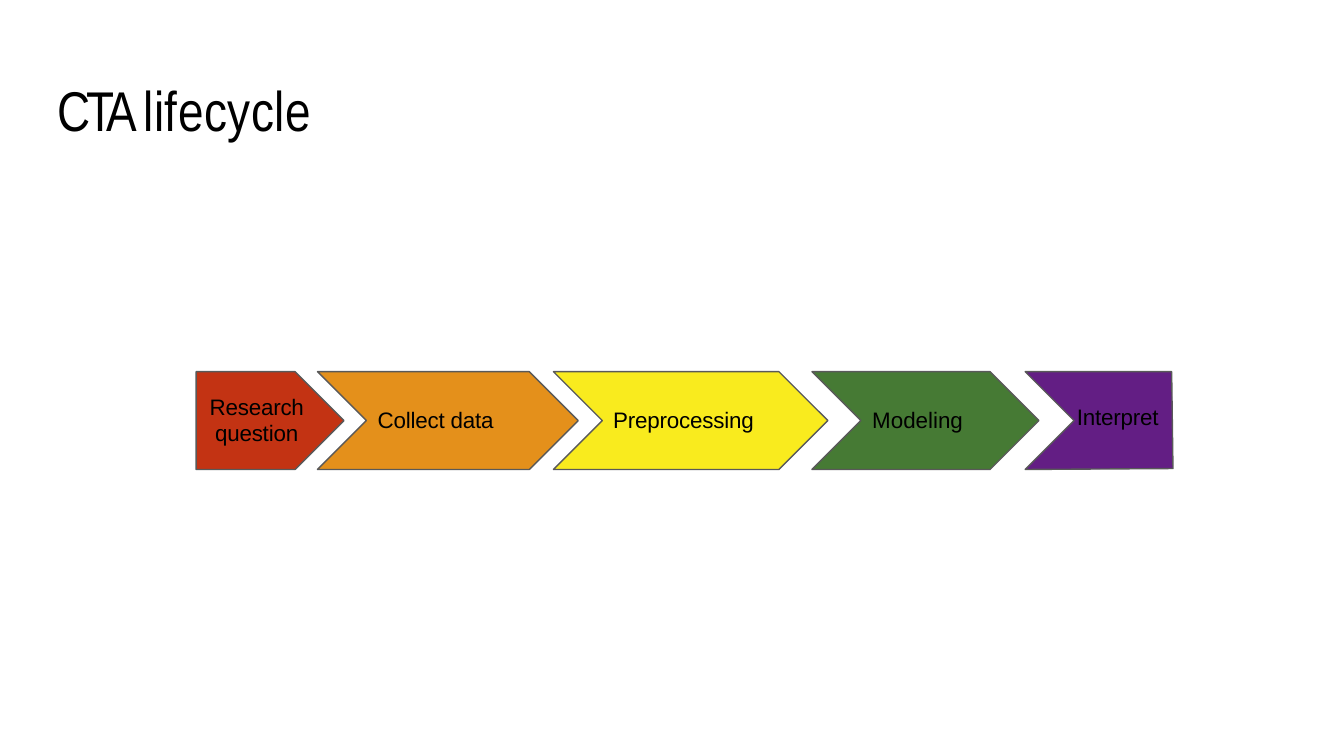
from pptx import Presentation
from pptx.dml.color import RGBColor
from pptx.enum.shapes import MSO_SHAPE
from pptx.enum.text import MSO_ANCHOR, PP_ALIGN
from pptx.util import Pt

# Content: runs are (text, letter spacing in points)
TITLE = [("CTA ", -2.2), ("lifecycle", 0.3)]
# label, kind, left, width, fill, label box (left, top, width, height), letter spacing
STAGES = [
    ("Research question", "start", 105.1, 79.2, "C33313", (110.9, 209.5, 53.3, 31), -0.1),
    ("Collect data", "middle", 170.1, 139.7, "E4901B", (202.3, 216.7, 65.5, 15.8), -0.1),
    ("Preprocessing", "middle", 296.5, 147, "F9EB1E", (328.5, 216.7, 78.5, 15.8), -0.1),
    ("Modeling", "middle", 435, 121.6, "467A34", (467.3, 216.7, 50.4, 15.8), 0),
    ("Interpret", "end", 549.2, 79.2, "631E84", (576.9, 215.2, 46.8, 15.8), -0.1),
]
THEME = {
    "title": {"name": "Arial Narrow", "size": Pt(30), "bold": False},
    "label": {"name": "Arial", "size": Pt(12), "bold": False},
    "text": "000000",
    "line": "595959",
}
BAND_TOP, BAND_H = 199.1, 52.4
PRESETS = {"start": MSO_SHAPE.PENTAGON, "middle": MSO_SHAPE.CHEVRON}


def write(sp, runs, style, align=PP_ALIGN.LEFT, wrap=False, inset=1, **spacing):
    tf = sp.text_frame
    for key, value in {"margin_left": 0, "margin_right": 0, "margin_top": Pt(inset),
                       "margin_bottom": 0, "word_wrap": wrap,
                       "vertical_anchor": MSO_ANCHOR.TOP}.items():
        setattr(tf, key, value)
    p = tf.paragraphs[0]
    for key, value in {"alignment": align, "space_before": Pt(1), **spacing}.items():
        setattr(p, key, value)
    for text, tracking in runs:
        r = p.add_run()
        r.text = text
        for key, value in THEME[style].items():
            setattr(r.font, key, value)
        r.font.color.rgb = RGBColor.from_string(THEME["text"])
        r.font._element.set("spc", str(round(tracking * 100)))


def add_stage(s, kind, left, width):
    if kind in PRESETS:
        return s.shapes.add_shape(PRESETS[kind], Pt(left), Pt(BAND_TOP), Pt(width), Pt(BAND_H))
    # Closing stage: notched on the left, almost straight on the right
    right, bottom = left + width, BAND_TOP + BAND_H
    points = [(right - 0.7, BAND_TOP), (right, bottom - 0.5), (left, bottom),
              (left + BAND_H / 2, BAND_TOP + BAND_H / 2)]
    outline = s.shapes.build_freeform(Pt(left), Pt(BAND_TOP))
    outline.add_line_segments([(Pt(x), Pt(y)) for x, y in points])
    return outline.convert_to_shape()


prs = Presentation()
prs.slide_width, prs.slide_height = Pt(720), Pt(405)
s = prs.slides.add_slide(prs.slide_layouts[5])

# Title
title = s.shapes.title
title.left, title.top, title.width, title.height = map(Pt, (30.6, 39.6, 142.6, 38.2))
write(title, TITLE, "title")

# Process band
for label, kind, left, width, fill, box, tracking in STAGES:
    sp = add_stage(s, kind, left, width)
    sp.shadow.inherit = False
    sp.fill.solid()
    sp.fill.fore_color.rgb = RGBColor.from_string(fill)
    sp.line.color.rgb = RGBColor.from_string(THEME["line"])
    sp.line.width = Pt(0.75)

    tb = s.shapes.add_textbox(*map(Pt, box))
    if kind == "start":
        write(tb, [(label, tracking)], "label", PP_ALIGN.CENTER, True,
              line_spacing=Pt(14.3), space_before=Pt(1.6))
    else:
        write(tb, [(label, tracking)], "label")

prs.save("out.pptx")
